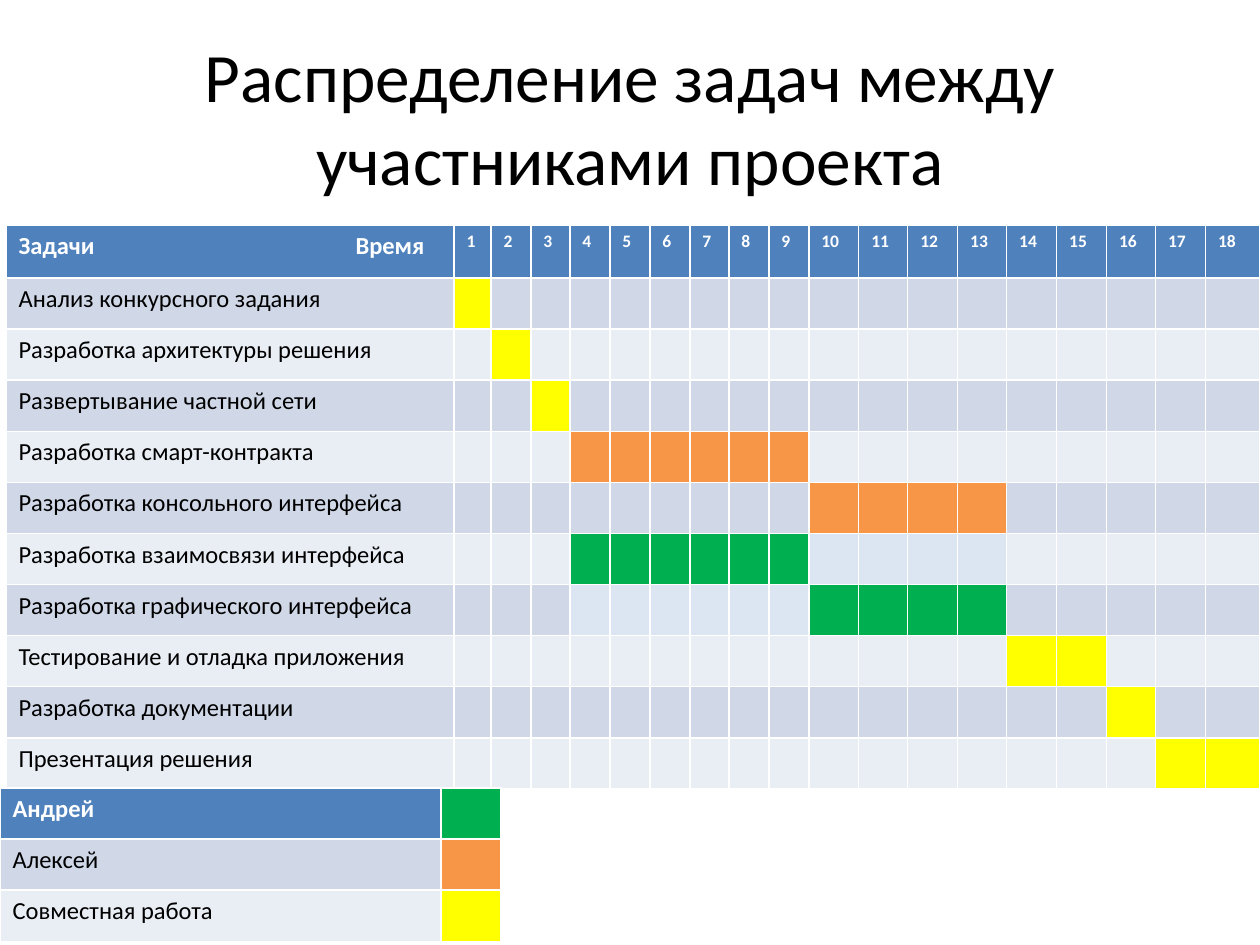
from lxml import etree
from pptx import Presentation
from pptx import util as u
from pptx.dml.color import RGBColor
from pptx.enum import text
from pptx.oxml import ns

PX = 914400 // 126  # EMU in one px

BLACK = RGBColor(0x00, 0x00, 0x00)
WHITE = RGBColor(0xFF, 0xFF, 0xFF)
HEADER = RGBColor(0x4F, 0x81, 0xBD)
BAND_DARK = RGBColor(0xD0, 0xD8, 0xE8)
BAND_LIGHT = RGBColor(0xE9, 0xED, 0xF4)
PALE = RGBColor(0xDC, 0xE6, 0xF2)
GREEN = RGBColor(0x00, 0xB0, 0x50)
ORANGE = RGBColor(0xF7, 0x96, 0x46)
YELLOW = RGBColor(0xFF, 0xFF, 0x00)

# Task name, then spans of (first slot, last slot, colour)
TASKS = [
    ("Анализ конкурсного задания", [(1, 1, YELLOW)]),
    ("Разработка архитектуры решения", [(2, 2, YELLOW)]),
    ("Развертывание частной сети", [(3, 3, YELLOW)]),
    ("Разработка смарт-контракта", [(4, 9, ORANGE)]),
    ("Разработка консольного интерфейса", [(10, 13, ORANGE)]),
    ("Разработка взаимосвязи интерфейса", [(4, 9, GREEN), (10, 13, PALE)]),
    ("Разработка графического интерфейса", [(4, 9, PALE), (10, 13, GREEN)]),
    ("Тестирование и отладка приложения", [(14, 15, YELLOW)]),
    ("Разработка документации", [(16, 16, YELLOW)]),
    ("Презентация решения", [(17, 18, YELLOW)]),
]
LEGEND = [("Андрей", GREEN), ("Алексей", ORANGE), ("Совместная работа", YELLOW)]
SLOTS = 18


class Deck:
    font = "Calibri"

    def __init__(self, width, height):
        self.prs = Presentation()
        self.prs.slide_width, self.prs.slide_height = width * PX, height * PX
        self.s = self.prs.slides.add_slide(self.prs.slide_layouts[5])

    def run(self, p, words, size, color, bold=False):
        r = p.add_run()
        r.text = words
        r.font.name, r.font.size, r.font.bold = self.font, u.Pt(size), bold
        r.font.color.rgb = color

    def title(self, words, x, y, w, h, size):
        sp = self.s.shapes.title
        sp.left, sp.top, sp.width, sp.height = x * PX, y * PX, w * PX, h * PX
        tf = sp.text_frame
        tf.word_wrap = True
        tf.auto_size = text.MSO_AUTO_SIZE.NONE
        tf.vertical_anchor = text.MSO_ANCHOR.MIDDLE
        p = tf.paragraphs[0]
        p.alignment = text.PP_ALIGN.CENTER
        self.run(p, words, size, BLACK)

    def table(self, x, y, widths, heights):
        """Add a table with a header row and banded body rows."""
        frame = self.s.shapes.add_table(
            len(heights), len(widths), x * PX, y * PX,
            sum(widths) * PX, sum(heights) * PX)
        table = frame.table
        for column, w in zip(table.columns, widths):
            column.width = w * PX
        for i, (row, h) in enumerate(zip(table.rows, heights)):
            row.height = h * PX
            band = BAND_DARK if i % 2 else BAND_LIGHT
            for cell in row.cells:
                self.fill(cell, band if i else HEADER)
        return table

    def fill(self, cell, color):
        cell.fill.solid()
        cell.fill.fore_color.rgb = color

    def label(self, cell, words, size=14, header=False):
        p = cell.text_frame.paragraphs[0]
        self.run(p, words, size, WHITE if header else BLACK, header)
        return p

    def tab_stop(self, p, x):
        tabs = etree.SubElement(p._p.get_or_add_pPr(), ns.qn("a:tabLst"))
        etree.SubElement(tabs, ns.qn("a:tab"), pos=str(x * PX), algn="l")


def main():
    deck = Deck(1260, 945)
    deck.title("Распределение задач между участниками проекта",
               63, 38, 1134, 157, 39.6)

    # Schedule: narrow slots 2-9, wider slots 10-17
    edges = [6, 454, 491]
    edges += [round(491 + 39.7 * i) for i in range(1, 9)]
    edges += [round(809 + 49.6 * i) for i in range(1, 9)]
    edges.append(1260)
    widths = [b - a for a, b in zip(edges, edges[1:])]
    plan = deck.table(6, 225, widths, [53] + [51] * len(TASKS))
    p = deck.label(plan.cell(0, 0), "Задачи\tВремя", header=True)
    deck.tab_stop(p, 337)
    for slot in range(1, SLOTS + 1):
        deck.label(plan.cell(0, slot), str(slot), 10, header=True)
    for row, (task, spans) in enumerate(TASKS, 1):
        deck.label(plan.cell(row, 0), task)
        for first, last, color in spans:
            for slot in range(first, last + 1):
                deck.fill(plan.cell(row, slot), color)

    # Legend of participants
    legend = deck.table(0, 788, [441, 60], [51] * len(LEGEND))
    for row, (who, color) in enumerate(LEGEND):
        deck.label(legend.cell(row, 0), who, header=row == 0)
        deck.fill(legend.cell(row, 1), color)

    deck.prs.save("out.pptx")


if __name__ == "__main__":
    main()
